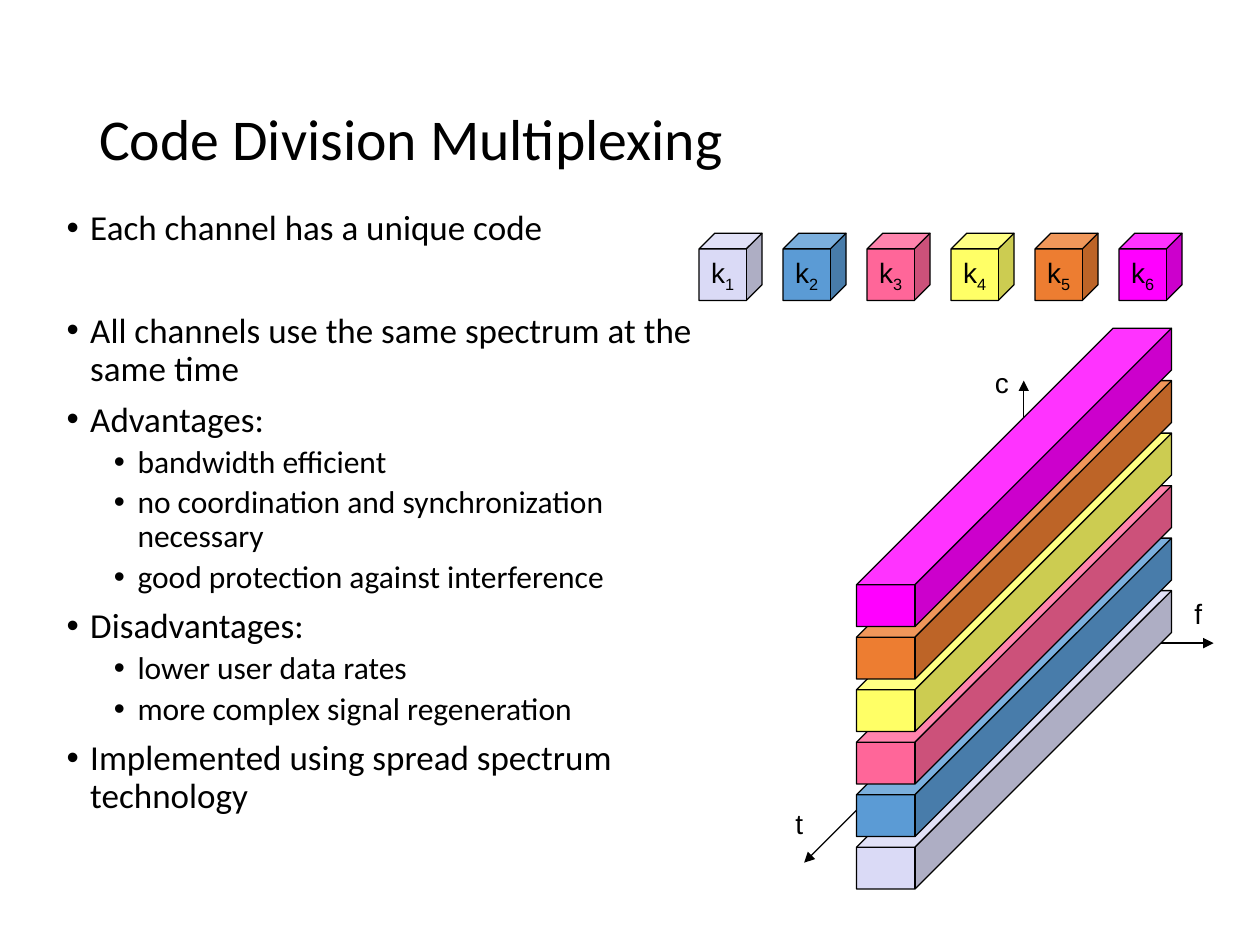
"""Build the Code Division Multiplexing slide with its stacked code channels."""
import lxml.etree
import pptx
import pptx.dml.color
import pptx.enum.shapes
import pptx.enum.text
import pptx.oxml.ns
import pptx.util

Pt = pptx.util.Pt
RGBColor = pptx.dml.color.RGBColor
ALIGN = pptx.enum.text.PP_ALIGN
ANCHOR = pptx.enum.text.MSO_ANCHOR
CUBE = pptx.enum.shapes.MSO_SHAPE.CUBE
qn = pptx.oxml.ns.qn

BLACK = RGBColor(0x00, 0x00, 0x00)
LAVENDER = RGBColor(0xDA, 0xDA, 0xF6)
BLUE = RGBColor(0x5B, 0x9B, 0xD5)
PINK = RGBColor(0xFF, 0x66, 0x99)
YELLOW = RGBColor(0xFF, 0xFF, 0x66)
ORANGE = RGBColor(0xED, 0x7D, 0x31)
MAGENTA = RGBColor(0xFF, 0x00, 0xFF)
CHANNELS = [LAVENDER, BLUE, PINK, YELLOW, ORANGE, MAGENTA]


def write(p, text, font="Arial", size=16, align=ALIGN.LEFT, spacing=None,
          before=None, level=0, bullet=False, subscript=False):
    p.alignment = align
    p.level = level
    if spacing:
        p.line_spacing = spacing
    if before is not None:
        p.space_before = Pt(before)
    if bullet:
        pPr = p._p.get_or_add_pPr()
        pPr.set("marL", str(Pt(13.5 + 27 * level)))
        pPr.set("indent", str(Pt(-13.5)))
        lxml.etree.SubElement(pPr, qn("a:buFont")).set("typeface", "Arial")
        lxml.etree.SubElement(pPr, qn("a:buChar")).set("char", "•")
    r = p.add_run()
    r.text = text
    r.font.name = font
    r.font.size = Pt(size)
    r.font.color.rgb = BLACK
    if subscript:
        r.font._element.set("baseline", "-25000")


def add_cube(left, top, width, height, depth, color):
    sp = s.shapes.add_shape(CUBE, Pt(left), Pt(top), Pt(width), Pt(height))
    sp.adjustments[0] = depth
    sp.shadow.inherit = False
    sp.fill.solid()
    sp.fill.fore_color.rgb = color
    sp.line.color.rgb = BLACK
    sp.line.width = Pt(0.75)
    return sp


prs = pptx.Presentation()
prs.slide_width, prs.slide_height = Pt(720), Pt(540)
s = prs.slides.add_slide(prs.slide_layouts[5])

title = s.shapes.title
title.left, title.top, title.width, title.height = Pt(49.5), Pt(28.75), Pt(621), Pt(104.5)
title.text_frame.vertical_anchor = ANCHOR.MIDDLE
write(title.text_frame.paragraphs[0], "Code Division Multiplexing",
      font="Calibri", size=33, spacing=0.9)

origin = (585, 367.5)
for tip in [(459.5, 493), (585, 217.5), (693.5, 367.5)]:
    axis = s.shapes.add_connector(pptx.enum.shapes.MSO_CONNECTOR.STRAIGHT,
                                  *(Pt(v) for v in origin + tip))
    axis.line.color.rgb = BLACK
    axis.line.width = Pt(0.75)
    ln = axis.line._get_or_add_ln()
    lxml.etree.SubElement(ln, qn("a:tailEnd")).set("type", "triangle")
    lxml.etree.SubElement(axis._element.spPr, qn("a:effectLst"))

points = [
    (0, "Each channel has a unique code", 0),
    (0, "All channels use the same spectrum at the same time", 37),
    (0, "Advantages:", 7.5),
    (1, "bandwidth efficient", 3.7),
    (1, "no coordination and synchronization necessary", 3.7),
    (1, "good protection against interference", 3.7),
    (0, "Disadvantages:", 7.5),
    (1, "lower user data rates", 3.7),
    (1, "more complex signal regeneration", 3.7),
    (0, "Implemented using spread spectrum technology", 7.5),
]
body = s.shapes.add_textbox(Pt(31), Pt(116.75), Pt(390), Pt(402))
tf = body.text_frame
tf.word_wrap = True
for i, (level, text, before) in enumerate(points):
    p = tf.add_paragraph() if i else tf.paragraphs[0]
    write(p, text, font="Calibri", size=20 - 2 * level, spacing=0.9,
          before=before, level=level, bullet=True)

for i, color in enumerate(CHANNELS):
    add_cube(489.5, 337.5 - 30 * i, 180, 170.5, 0.86, color)

for i, color in enumerate(CHANNELS):
    key = add_cube(399.5 + 48 * i, 133.25, 36, 38.5, 0.25, color)
    tf = key.text_frame
    tf.word_wrap = False
    tf.vertical_anchor = ANCHOR.MIDDLE
    p = tf.paragraphs[0]
    write(p, "k", align=ALIGN.CENTER)
    write(p, str(i + 1), align=ALIGN.CENTER, subscript=True)

for text, left, top, width in [("f", 675.5, 337.5, 19), ("t", 447.5, 457.5, 19),
                               ("c", 561.5, 205.5, 22.5)]:
    label = s.shapes.add_textbox(Pt(left), Pt(top), Pt(width), Pt(26.5))
    label.text_frame.word_wrap = False
    write(label.text_frame.paragraphs[0], text)

prs.save("out.pptx")
